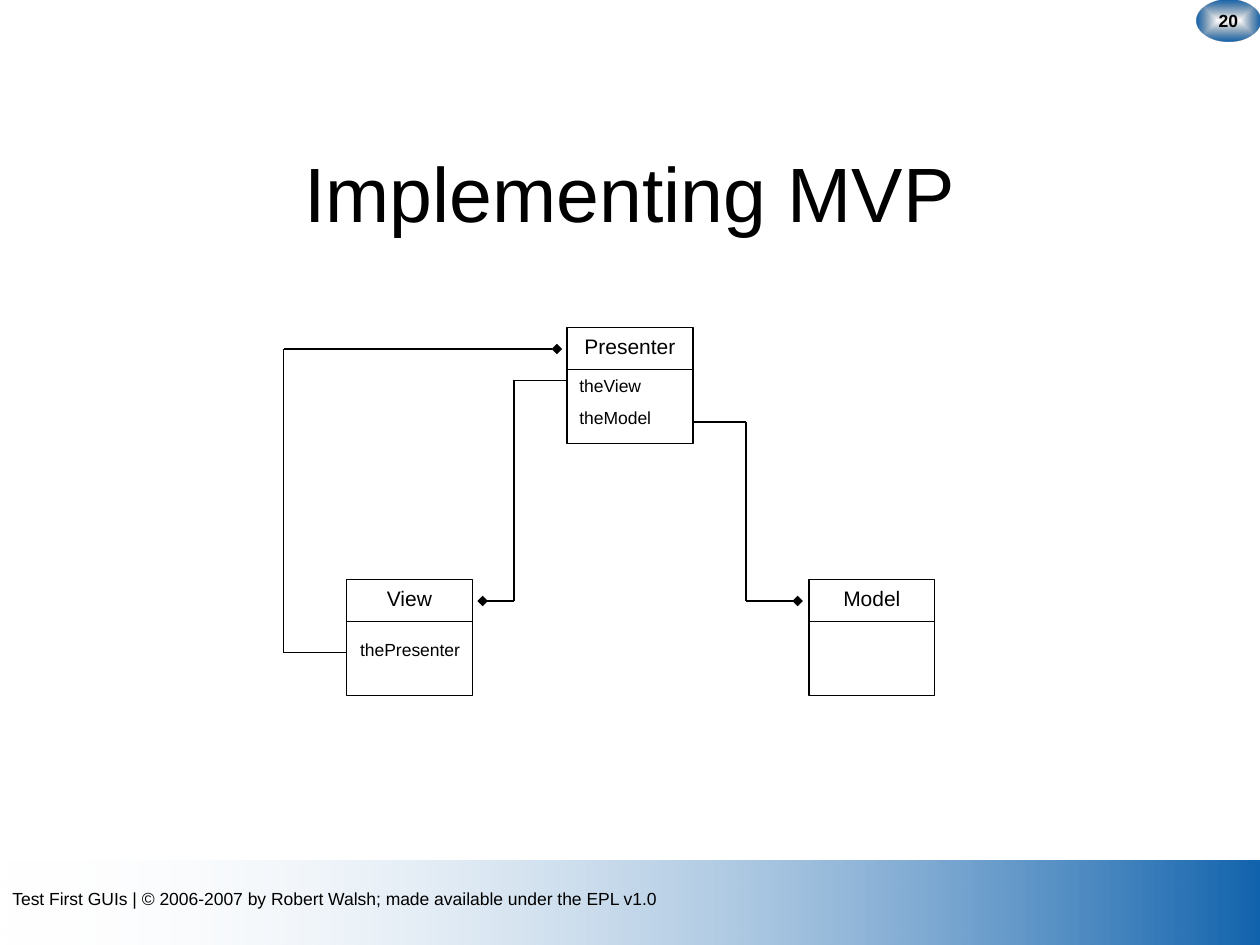
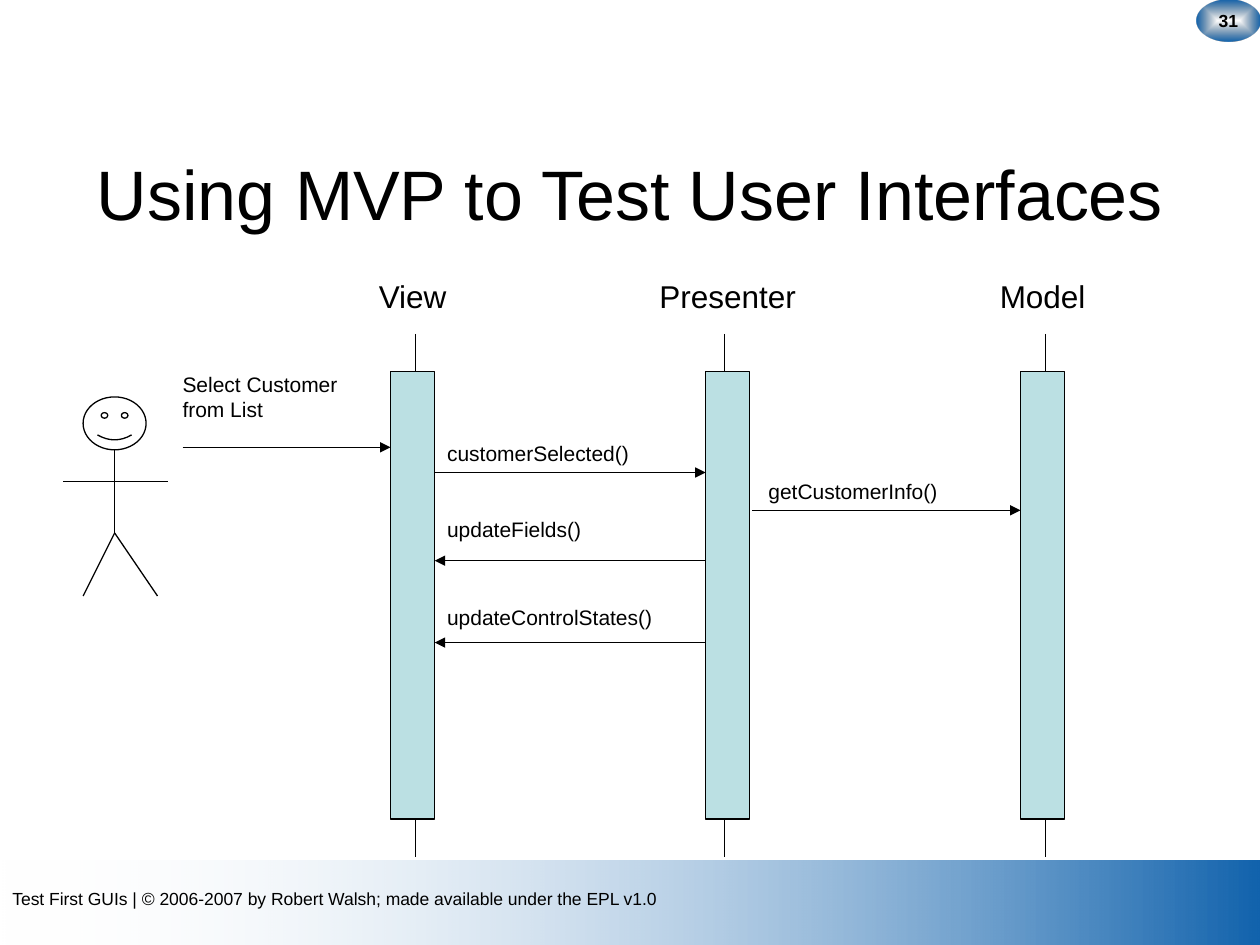
from pptx import Presentation
from pptx.dml.color import RGBColor
from pptx.enum.shapes import MSO_CONNECTOR, MSO_SHAPE
from pptx.enum.text import MSO_ANCHOR, PP_ALIGN
from pptx.oxml.ns import qn
from pptx.util import Inches, Pt
from lxml import etree

BLACK = RGBColor(0x00, 0x00, 0x00)
BLUE = RGBColor(0x12, 0x63, 0xAD)
NAVY = RGBColor(0x08, 0x2D, 0x4F)
PALE = RGBColor(0xFE, 0xFE, 0xFE)
TEAL = RGBColor(0xBB, 0xE0, 0xE3)

FONT = "Arial"
THIN = Pt(0.75)
RECT = MSO_SHAPE.RECTANGLE
OVAL = MSO_SHAPE.OVAL
SMILEY = MSO_SHAPE.SMILEY_FACE
STRAIGHT = MSO_CONNECTOR.STRAIGHT
LEFT = PP_ALIGN.LEFT
CENTER = PP_ALIGN.CENTER
MIDDLE = MSO_ANCHOR.MIDDLE

FOOTER = "Test First GUIs | © 2006-2007 by Robert Walsh; made available under the EPL v1.0"


def write(frame, text, size, align=LEFT, bold=False):
    para = frame.paragraphs[0]
    para.alignment = align
    run = para.add_run()
    run.text = text
    run.font.name = FONT
    run.font.size = Pt(size)
    run.font.bold = bold
    run.font.color.rgb = BLACK


def label(shapes, box, text, size, align=LEFT, wrap=True):
    frame = shapes.add_textbox(*map(Inches, box)).text_frame
    frame.word_wrap = wrap
    write(frame, text, size, align)


def outline(shapes, kind, box, fill=None):
    shape = shapes.add_shape(kind, *map(Inches, box))
    shape.shadow.inherit = False
    shape.line.color.rgb = BLACK
    shape.line.width = THIN
    if fill is None:
        shape.fill.background()
    else:
        shape.fill.solid()
        shape.fill.fore_color.rgb = fill


def line(shapes, start, end, head=None):
    link = shapes.add_connector(STRAIGHT, *map(Inches, (*start, *end)))
    link.line.color.rgb = BLACK
    link.line.width = THIN
    props = link._element.spPr
    if head:
        etree.SubElement(props.find(qn("a:ln")), qn("a:tailEnd"), type=head)
    etree.SubElement(props, qn("a:effectLst"))


def route(shapes, points, head):
    last = len(points) - 2
    for i, (start, end) in enumerate(zip(points, points[1:])):
        line(shapes, start, end, head if i == last else None)


def blend(shapes, kind, box, colors, clear):
    shape = shapes.add_shape(kind, *map(Inches, box))
    shape.shadow.inherit = False
    shape.line.fill.background()
    shape.fill.gradient()
    shape.fill.gradient_angle = 180
    for stop, color in zip(shape.fill.gradient_stops, colors):
        stop.color.rgb = color
    tints = shape._element.spPr.findall(".//" + qn("a:srgbClr"))
    etree.SubElement(tints[clear], qn("a:alpha"), val="0")
    return shape


def band(shapes, box):
    blend(shapes, RECT, box, (BLUE, PALE), 1)
    left, top = box[:2]
    label(shapes, (left, top + 0.17, 9, 0.27), FOOTER, 10)


def badge(shapes, box, number):
    shape = blend(shapes, OVAL, box, (NAVY, BLUE), 0)
    grad = shape._element.spPr.find(qn("a:gradFill"))
    grad.remove(grad.find(qn("a:lin")))
    glow = etree.SubElement(grad, qn("a:path"), path="rect")
    half = dict.fromkeys("ltrb", "50000")
    etree.SubElement(glow, qn("a:fillToRect"), **half)
    frame = shape.text_frame
    frame.word_wrap = False
    frame.vertical_anchor = MIDDLE
    write(frame, str(number), 10, CENTER, True)


def start(deck, title, size, number):
    slide = deck.slides.add_slide(deck.slide_layouts[5])
    shapes = slide.shapes
    band(shapes, (0, 6.83, 10, 0.67))
    badge(shapes, (9.5, 0, 0.5, 0.33), number)
    head = shapes.title
    head.left, head.top, head.width, head.height = map(Inches, (0.5, 0.9, 9, 1.25))
    head.text_frame.word_wrap = True
    head.text_frame.vertical_anchor = MIDDLE
    write(head.text_frame, title, size, CENTER)
    return shapes


def entity(shapes, box, name):
    left, top, width, height = box
    group = shapes.add_group_shape().shapes
    outline(group, RECT, box)
    line(group, (left, top + 0.33), (left + width, top + 0.33))
    label(group, (left, top, width, 0.3), name, 12, CENTER)


def classes(shapes):
    for left, top, name in ((6.42, 4.6, "Model"), (2.75, 4.6, "View"), (4.5, 2.6, "Presenter")):
        entity(shapes, (left, top, 1, 0.92), name)
    label(shapes, (2.76, 5.02, 0.99, 0.27), "thePresenter", 10, wrap=False)
    label(shapes, (4.5, 3.18, 1, 0.27), "theModel", 10)
    label(shapes, (4.5, 2.93, 1, 0.27), "theView", 10)
    for points in (
        ((5.5, 3.35), (5.92, 3.35), (5.92, 4.77), (6.33, 4.77)),
        ((4.5, 3.02), (4.08, 3.02), (4.08, 4.77), (3.83, 4.77)),
        ((2.75, 5.18), (2.25, 5.18), (2.25, 2.77), (4.42, 2.77)),
    ):
        route(shapes, points, "diamond")


def lane(shapes, box, name, axis):
    left, top, width, height = box
    outline(shapes, RECT, box, TEAL)
    label(shapes, (left - 0.5, top - 0.8, width + 1, 0.4), name, 18, CENTER)
    for y in (top - 0.3, top + height):
        line(shapes, (axis, y), (axis, y + 0.3))


def actor(shapes, box):
    left, top, width, height = box
    group = shapes.add_group_shape().shapes
    mid, hip, foot = left + 0.41, top + 1.08, top + height
    outline(group, SMILEY, (left + 0.16, top, 0.5, 0.42))
    line(group, (mid, top + 0.42), (mid, hip))
    for x in (left + 0.16, left + 0.75):
        line(group, (mid, hip), (x, foot))
    line(group, (left, top + 0.67), (left + width, top + 0.67))


def calls(shapes):
    for i, (name, axis) in enumerate((("View", 3.3), ("Presenter", 5.75), ("Model", 8.3))):
        lane(shapes, (3.1 + 2.5 * i, 2.95, 0.35, 3.55), name, axis)
    actor(shapes, (0.5, 3.15, 0.83, 1.58))
    for text, box, begin, end, y in (
        ("Select Customer from List", (1.35, 2.9, 1.65, 0.5), 1.45, 3.1, 3.55),
        ("customerSelected()", (3.45, 3.45, 1.65, 0.3), 3.45, 5.6, 3.75),
        ("getCustomerInfo()", (6, 3.75, 1.65, 0.3), 5.97, 8.1, 4.05),
        ("updateFields()", (3.45, 4.05, 1.65, 0.3), 5.6, 3.45, 4.45),
        ("updateControlStates()", (3.45, 4.75, 2.1, 0.3), 5.6, 3.45, 5.1),
    ):
        line(shapes, (begin, y), (end, y), "triangle")
        label(shapes, box, text, 12)


def main():
    deck = Presentation()
    deck.slide_width, deck.slide_height = Inches(10), Inches(7.5)
    classes(start(deck, "Implementing MVP", 44, 20))
    calls(start(deck, "Using MVP to Test User Interfaces", 40, 31))
    deck.save("out.pptx")


if __name__ == "__main__":
    main()
